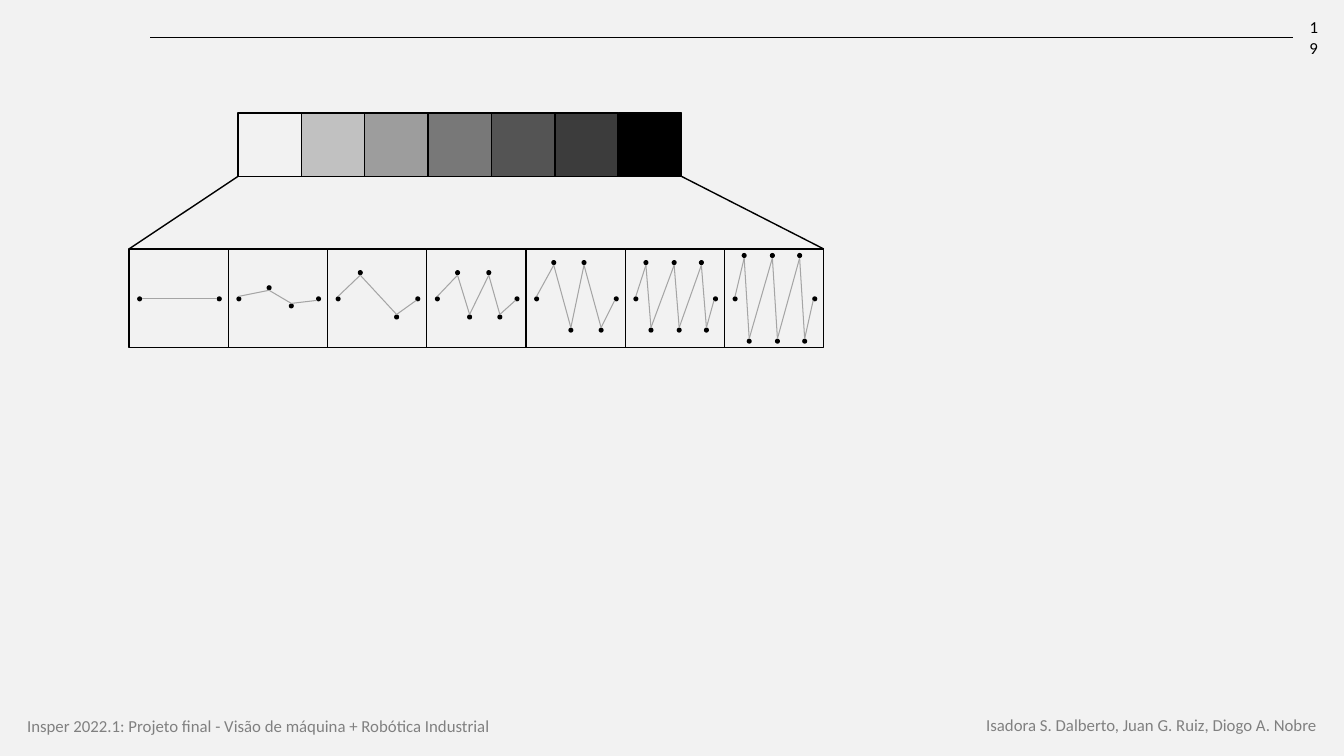
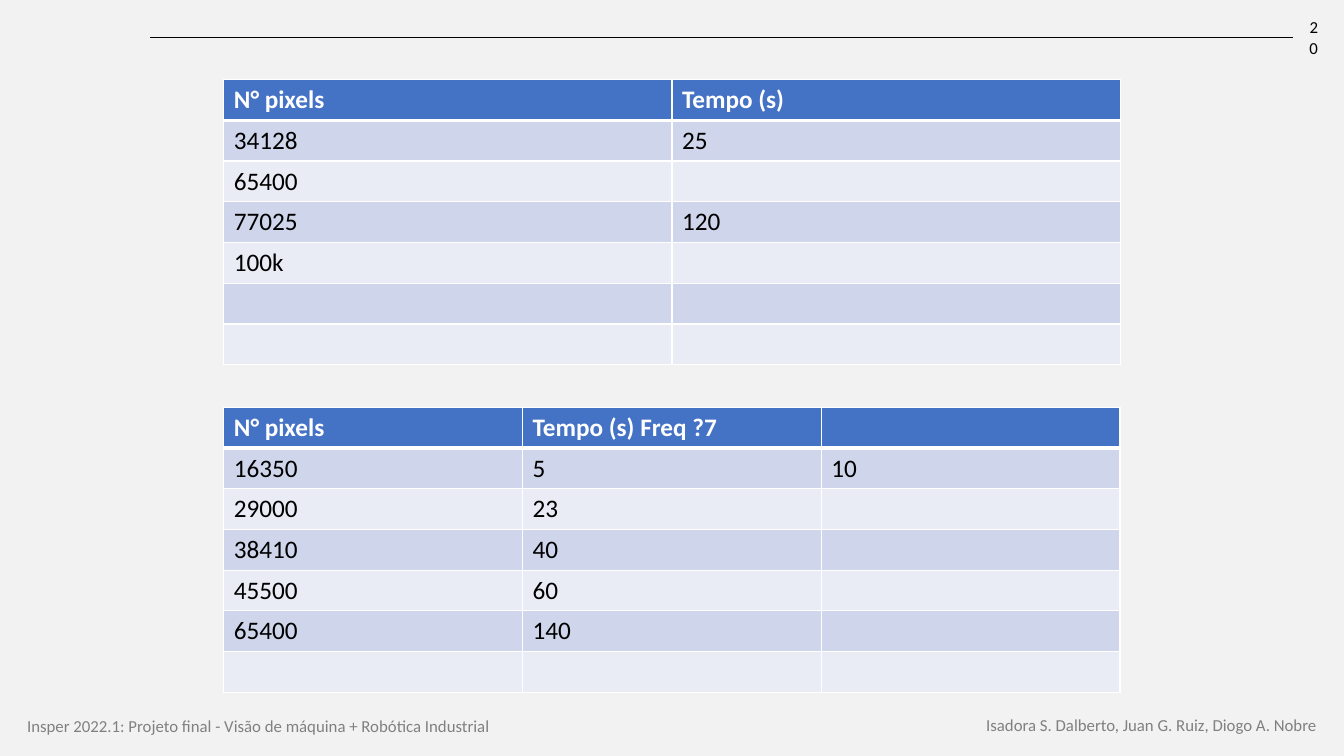
import lxml.etree
import pptx
import pptx.dml.color
import pptx.enum.shapes
import pptx.enum.text
import pptx.oxml.ns
import pptx.util

Inches = pptx.util.Inches
Pt = pptx.util.Pt
RGBColor = pptx.dml.color.RGBColor
SHAPE = pptx.enum.shapes.MSO_SHAPE
ALIGN = pptx.enum.text.PP_ALIGN
ANCHOR = pptx.enum.text.MSO_ANCHOR
AUTO_SIZE = pptx.enum.text.MSO_AUTO_SIZE
qn = pptx.oxml.ns.qn

FONT = "Calibri"
PAPER = RGBColor(0xF2, 0xF2, 0xF2)
BLACK = RGBColor(0, 0, 0)
WHITE = RGBColor(0xFF, 0xFF, 0xFF)
FOOTER_GRAY = RGBColor(0x80, 0x80, 0x80)
WAVE_GRAY = RGBColor(0xA5, 0xA5, 0xA5)
HEADER_BLUE = RGBColor(0x44, 0x72, 0xC4)
ROW_FILLS = (RGBColor(0xCF, 0xD5, 0xEA), RGBColor(0xE9, 0xEB, 0xF5))

PROJECT = "Insper 2022.1: Projeto final - Visão de máquina + Robótica Industrial"
AUTHORS = "Isadora S. Dalberto, Juan G. Ruiz, Diogo A. Nobre"

OPACITIES = (0, 20, 35, 50, 65, 75, 100)
SWATCH_LEFT, SWATCH_RIGHT, SWATCH_TOP, SWATCH_BOTTOM = 2.36, 6.76, 1.12, 1.75
CELL_LEFT, CELL_RIGHT, CELL_TOP, CELL_BOTTOM = 1.28, 8.17, 2.47, 3.45
DOT = 0.05
START_X, END_X, MIDDLE_Y = 0.08, 0.87, 2.94
WAVES = (
    (MIDDLE_Y, MIDDLE_Y, ()),
    (2.83, 3.01, (0.38, 0.6)),
    (2.68, 3.12, (0.3, 0.66)),
    (2.68, 3.12, (0.28, 0.4, 0.59, 0.7)),
    (2.58, 3.25, (0.25, 0.42, 0.55, 0.72)),
    (2.58, 3.25, (0.18, 0.23, 0.46, 0.51, 0.73, 0.78)),
    (2.51, 3.36, (0.17, 0.22, 0.45, 0.5, 0.72, 0.77)),
)

TABLE_LEFT, TABLE_WIDTH, TABLE_HEIGHT = 2.22, 8.89, 2.83
FIRST_TIMES = (
    ("N° pixels", "Tempo (s)"),
    ("34128", "25"),
    ("65400", ""),
    ("77025", "120"),
    ("100k", ""),
    ("", ""),
    ("", ""),
)
FREQUENCY_TIMES = (
    ("N° pixels", "Tempo (s) Freq ?7", ""),
    ("16350", "5", "10"),
    ("29000", "23", ""),
    ("38410", "40", ""),
    ("45500", "60", ""),
    ("65400", "140", ""),
    ("", "", ""),
)


def set_font(paragraph, size, color, bold=False):
    paragraph.font.name = FONT
    paragraph.font.size = Pt(size)
    paragraph.font.color.rgb = color
    paragraph.font.bold = bold


def add_label(slide, text, left, top, width, height, color=FOOTER_GRAY, align=ALIGN.LEFT):
    label = slide.shapes.add_textbox(Inches(left), Inches(top), Inches(width), Inches(height))
    label.text_frame.word_wrap = True
    paragraph = label.text_frame.paragraphs[0]
    paragraph.text = text
    paragraph.alignment = align
    set_font(paragraph, 12, color)
    return label.text_frame


def add_line(shapes, start, end, color=BLACK, weight=1):
    line = shapes.add_connector(
        pptx.enum.shapes.MSO_CONNECTOR.STRAIGHT, *(Inches(value) for value in start + end)
    )
    line.line.color.rgb = color
    line.line.width = Pt(weight)
    lxml.etree.SubElement(line._element.spPr, qn("a:effectLst"))


def add_square(shapes, left, top, right, bottom, opacity=0):
    square = shapes.add_shape(
        SHAPE.RECTANGLE, Inches(left), Inches(top), Inches(right - left), Inches(bottom - top)
    )
    square.shadow.inherit = False
    square.line.color.rgb = BLACK
    square.line.width = Pt(1)
    if opacity == 0:
        square.fill.background()
        return
    square.fill.solid()
    square.fill.fore_color.rgb = BLACK
    if opacity < 100:
        color = square._element.spPr.find(qn("a:solidFill")).find(qn("a:srgbClr"))
        lxml.etree.SubElement(color, qn("a:alpha")).set("val", str(opacity * 1000))


def add_square_row(shapes, left, top, right, bottom, opacities):
    step = (right - left) / len(opacities)
    for index, opacity in enumerate(opacities):
        add_square(shapes, left + index * step, top, left + (index + 1) * step, bottom, opacity)


def add_dot(shapes, left, top):
    dot = shapes.add_shape(SHAPE.OVAL, Inches(left), Inches(top), Inches(DOT), Inches(DOT))
    dot.shadow.inherit = False
    dot.fill.solid()
    dot.fill.fore_color.rgb = BLACK
    dot.line.fill.background()


def add_wave(shapes, cell_left, peak, trough, offsets):
    turns = [
        (cell_left + offset, trough if index % 2 else peak)
        for index, offset in enumerate(offsets)
    ]
    start = (cell_left + START_X, MIDDLE_Y)
    end = (cell_left + END_X, MIDDLE_Y)
    for left, top in [start] + turns + [end]:
        add_dot(shapes, left, top)
    if turns:
        joints = [(start[0] + DOT / 2, start[1])]
        joints += [(x + DOT / 2, y + DOT if y == peak else y) for x, y in turns]
        joints += [(end[0] + 0.01, end[1] + 0.04)]
    else:
        joints = [(start[0] + DOT, start[1] + DOT / 2), (end[0], end[1] + DOT / 2)]
    for before, after in zip(joints, joints[1:]):
        add_line(shapes, before, after, WAVE_GRAY, 0.75)


def set_borders(cell, bottom_weight):
    properties = cell._tc.get_or_add_tcPr()
    weights = (("L", 1), ("R", 1), ("T", 1), ("B", bottom_weight))
    for index, (side, weight) in enumerate(weights):
        border = lxml.etree.Element(qn("a:ln" + side), w=str(int(Pt(weight))))
        fill = lxml.etree.SubElement(border, qn("a:solidFill"))
        lxml.etree.SubElement(fill, qn("a:srgbClr")).set("val", str(WHITE))
        properties.insert(index, border)


def add_times(slide, top, rows):
    table = slide.shapes.add_table(
        len(rows), len(rows[0]),
        Inches(TABLE_LEFT), Inches(top), Inches(TABLE_WIDTH), Inches(TABLE_HEIGHT),
    ).table
    for row_index, row in enumerate(rows):
        heading = row_index == 0
        for column_index, text in enumerate(row):
            cell = table.cell(row_index, column_index)
            cell.text = text
            cell.fill.solid()
            cell.fill.fore_color.rgb = HEADER_BLUE if heading else ROW_FILLS[(row_index - 1) % 2]
            set_font(cell.text_frame.paragraphs[0], 18, WHITE if heading else BLACK, heading)
            set_borders(cell, 3 if heading else 1)


def add_page(deck, number):
    slide = deck.slides.add_slide(deck.slide_layouts[6])
    add_line(slide.shapes, (1.49, 0.37), (12.82, 0.37), weight=0.5)
    footers = (
        add_label(slide, PROJECT, 0.17, 7.05, 5.48, 0.3),
        add_label(slide, AUTHORS, 9.31, 7.04, 3.85, 0.3, align=ALIGN.RIGHT),
    )
    for footer in footers:
        footer.auto_size = AUTO_SIZE.SHAPE_TO_FIT_TEXT
    page_number = add_label(slide, str(number), 12.82, 0.17, 0.35, 0.4, BLACK, ALIGN.RIGHT)
    page_number.vertical_anchor = ANCHOR.MIDDLE
    return slide


def build_wave_slide(deck):
    slide = add_page(deck, 19)
    add_square_row(
        slide.shapes, SWATCH_LEFT, SWATCH_TOP, SWATCH_RIGHT, SWATCH_BOTTOM, OPACITIES
    )
    strip = slide.shapes.add_group_shape().shapes
    add_square_row(strip, CELL_LEFT, CELL_TOP, CELL_RIGHT, CELL_BOTTOM, (0,) * len(WAVES))
    step = (CELL_RIGHT - CELL_LEFT) / len(WAVES)
    for index, wave in enumerate(WAVES):
        add_wave(strip, CELL_LEFT + index * step, *wave)
    add_line(slide.shapes, (SWATCH_RIGHT, SWATCH_BOTTOM), (CELL_RIGHT, CELL_TOP))
    add_line(slide.shapes, (SWATCH_LEFT, SWATCH_BOTTOM), (CELL_LEFT, CELL_TOP))


def build_times_slide(deck):
    slide = add_page(deck, 20)
    add_times(slide, 0.79, FIRST_TIMES)
    add_times(slide, 4.04, FREQUENCY_TIMES)


def main():
    deck = pptx.Presentation()
    deck.slide_width = Inches(13.33)
    deck.slide_height = Inches(7.5)
    background = deck.slide_master.background.fill
    background.solid()
    background.fore_color.rgb = PAPER
    build_wave_slide(deck)
    build_times_slide(deck)
    deck.save("out.pptx")


if __name__ == "__main__":
    main()
